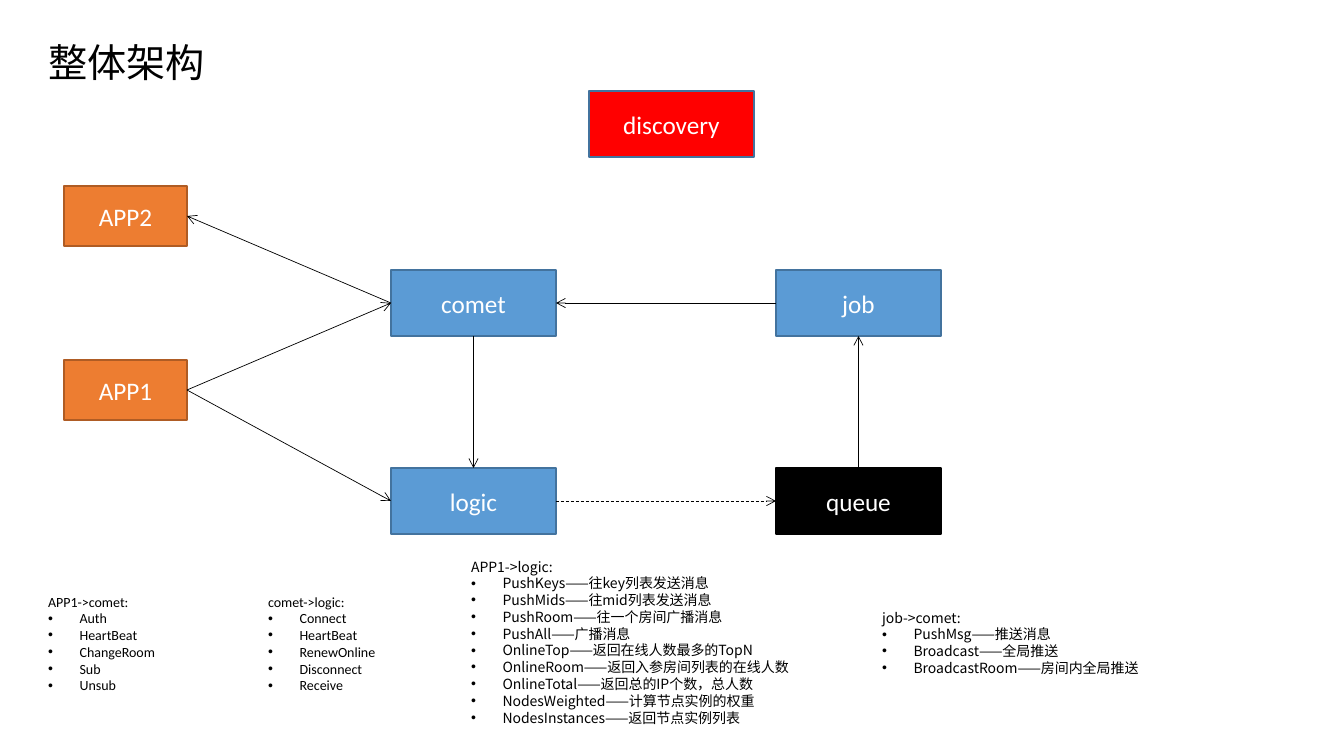
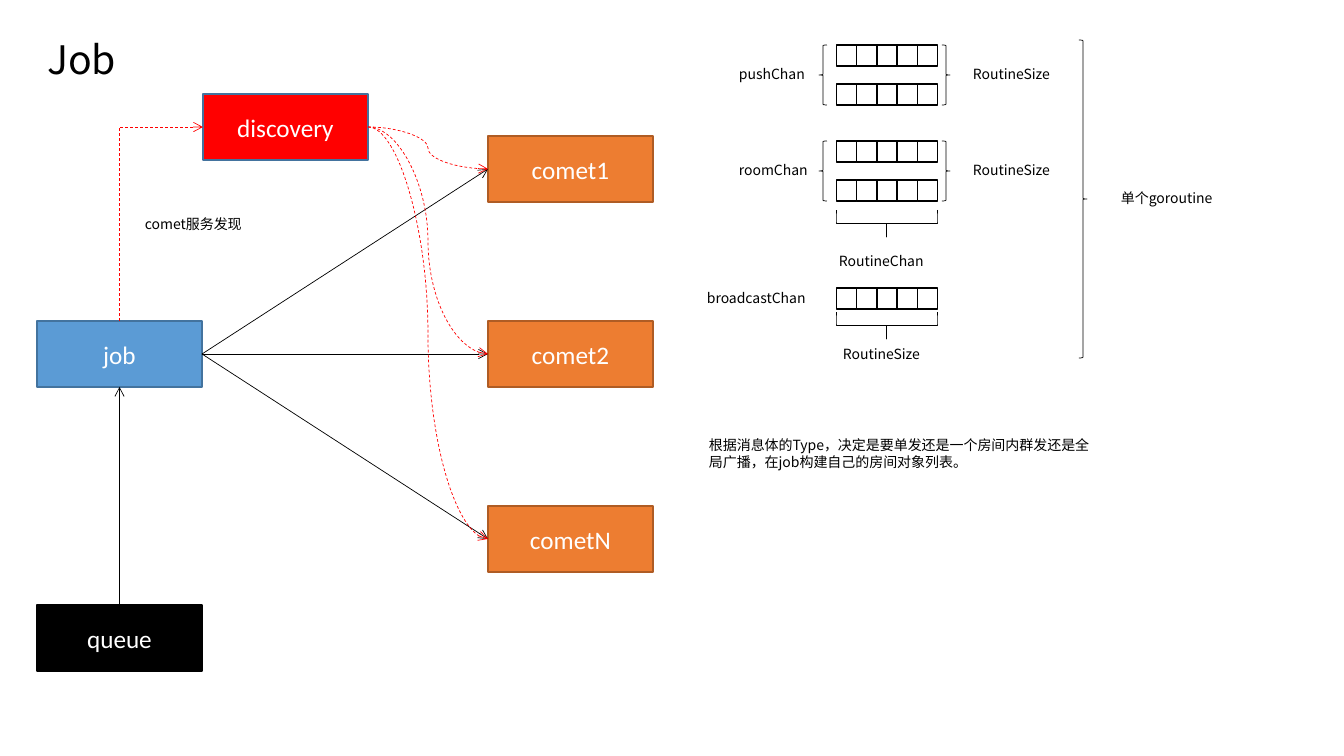
from dataclasses import dataclass

from lxml.etree import SubElement
from pptx import Presentation
from pptx.dml.color import RGBColor
from pptx.enum.dml import MSO_LINE
from pptx.enum.shapes import MSO_CONNECTOR, MSO_SHAPE
from pptx.enum.text import MSO_ANCHOR, MSO_AUTO_SIZE, PP_ALIGN
from pptx.oxml.ns import qn
from pptx.util import Pt

EMU_PER_PIXEL = 914400 / 100.8
TOP, LEFT, BOTTOM, RIGHT = range(4)  # connection sites of a rectangle
TITLE_ONLY, FOUR_BODIES = 5, 4  # layouts of the default template


def px(length):
    """Turn pixels into EMU."""
    return round(length * EMU_PER_PIXEL)


def rgb(code):
    """Turn a hex code into a colour."""
    return RGBColor.from_string(code)


@dataclass(frozen=True)
class Theme:
    """Colours, fonts and type sizes of the deck."""
    black: str = "000000"
    white: str = "FFFFFF"
    red: str = "FF0000"
    blue: tuple = ("5B9BD5", "43739E")
    orange: tuple = ("ED7D31", "AF5C24")
    alert: tuple = ("FF0000", "43739E")
    dark: tuple = ("000000", "000000")
    latin: str = "Calibri"
    cjk: str = "Noto Sans CJK JP"
    title_size: int = 28
    node_size: int = 18
    note_size: int = 10
    title_leading: int = 36
    note_leading: int = 12
    thin: float = 0.5
    outline: float = 1


class Board:
    """Hold the deck, its theme and the current page."""

    def __init__(self, theme):
        """Start an empty wide deck."""
        self.theme = theme
        self.deck = Presentation()
        self.deck.slide_width, self.deck.slide_height = px(1344), px(756)
        self.page = None

    def start(self, layout, title, left, top):
        """Add a page and set its title."""
        self.page = self.deck.slides.add_slide(self.deck.slide_layouts[layout])
        box = self.page.shapes.title
        self.place(box, left, top, 375, 57)
        para = box.text_frame.paragraphs[0]
        para.text = title
        self.style(para, self.theme.title_size, self.theme.cjk,
                   leading=self.theme.title_leading)

    def place(self, box, left, top, width, height):
        """Move a text holder and anchor its text at the top."""
        box.left, box.top, box.width, box.height = map(px, (left, top, width, height))
        frame = box.text_frame
        frame.word_wrap = True
        frame.auto_size = MSO_AUTO_SIZE.NONE
        frame.vertical_anchor = MSO_ANCHOR.TOP

    def style(self, para, size, face, color=None, align=PP_ALIGN.LEFT, leading=None):
        """Set type, colour and spacing of one paragraph."""
        para.alignment = align
        para.space_before = Pt(0)
        if leading:
            para.line_spacing = Pt(leading)
        font = para.font
        font.size, font.name, font.bold = Pt(size), face, False
        font.color.rgb = rgb(color or self.theme.black)
        defaults = para._p.pPr.find(qn("a:defRPr"))
        SubElement(defaults, qn("a:ea")).set("typeface", face)

    def bullet(self, para, shown):
        """Show or hide the bullet of a styled paragraph."""
        properties = para._p.pPr
        indent = px(31.5) if shown else 0
        properties.set("marL", str(indent))
        properties.set("indent", str(-indent))
        mark = SubElement(properties, qn("a:buChar" if shown else "a:buNone"))
        if shown:
            mark.set("char", "•")
        properties.find(qn("a:defRPr")).addprevious(mark)

    def listing(self, index, left, top, width, height, face, heading, items):
        """Fill a body placeholder with a heading and bulleted items."""
        box = self.page.placeholders[index]
        self.place(box, left, top, width, height)
        frame = box.text_frame
        for number, text in enumerate([heading, *items]):
            para = frame.add_paragraph() if number else frame.paragraphs[0]
            para.text = text
            self.style(para, self.theme.note_size, face, leading=self.theme.note_leading)
            self.bullet(para, number > 0)

    def note(self, text, left, top, width, height=27):
        """Add a small free text."""
        box = self.page.shapes.add_textbox(0, 0, 0, 0)
        self.place(box, left, top, width, height)
        para = box.text_frame.paragraphs[0]
        para.text = text
        self.style(para, self.theme.note_size, self.theme.cjk,
                   leading=self.theme.note_leading)

    def shape(self, kind, left, top, width, height, line, weight, fill=None):
        """Add a preset shape without shadow."""
        shape = self.page.shapes.add_shape(kind, *map(px, (left, top, width, height)))
        shape.shadow.inherit = False
        if fill:
            shape.fill.solid()
            shape.fill.fore_color.rgb = rgb(fill)
        else:
            shape.fill.background()
        shape.line.color.rgb = rgb(line)
        shape.line.width = Pt(weight)
        return shape

    def node(self, text, left, top, colors, width=165, height=66):
        """Add a labelled service box."""
        fill, line = colors
        box = self.shape(MSO_SHAPE.RECTANGLE, left, top, width, height,
                         line, self.theme.outline, fill)
        box.text_frame.vertical_anchor = MSO_ANCHOR.MIDDLE
        para = box.text_frame.paragraphs[0]
        para.text = text
        self.style(para, self.theme.node_size, self.theme.latin,
                   self.theme.white, PP_ALIGN.CENTER)
        return box

    def arrow(self, source, start, target, end, kind=MSO_CONNECTOR.STRAIGHT,
              color=None, dashed=False):
        """Glue an arrow between sites of two boxes."""
        link = self.page.shapes.add_connector(kind, 0, 0, 0, 0)
        link.begin_connect(source, start)
        link.end_connect(target, end)
        link.line.color.rgb = rgb(color or self.theme.black)
        link.line.width = Pt(self.theme.thin)
        if dashed:
            link.line.dash_style = MSO_LINE.DASH
        properties = link._element.spPr
        SubElement(properties.find(qn("a:ln")), qn("a:tailEnd")).set("type", "arrow")
        SubElement(properties, qn("a:effectLst"))
        return link

    def corner_arrow(self, source, target, color):
        """Lead a dashed arrow up from source, then right into target."""
        link = self.arrow(source, TOP, target, LEFT, MSO_CONNECTOR.ELBOW, color, True)
        across, rise = link.width, link.height
        shift = (rise - across) // 2
        link.left, link.top = link.left - shift, link.top + shift
        link.width, link.height = rise, across
        properties = link._element.spPr
        frame = properties.find(qn("a:xfrm"))
        frame.attrib.pop("flipV", None)
        frame.set("rot", str(270 * 60000))
        properties.find(qn("a:prstGeom")).set("prst", "bentConnector2")

    def brace(self, kind, left, top, width, height):
        """Add a thin brace."""
        return self.shape(kind, left, top, width, height,
                          self.theme.black, self.theme.thin)

    def under_brace(self, left, top):
        """Add a square brace that opens upwards."""
        brace = self.brace(MSO_SHAPE.RIGHT_BRACE, left, top, 27, 101)
        brace.rotation = 90
        brace.adjustments[0], brace.adjustments[1] = 0, 0.5

    def queue(self, top):
        """Draw one channel as a row of five cells."""
        for column in range(5):
            self.shape(MSO_SHAPE.RECTANGLE, 836.5 + column * 20.2, top, 20.2, 21,
                       self.theme.black, self.theme.outline, self.theme.white)

    def channel_group(self, name, top):
        """Draw two braced queues with their labels."""
        for row in range(2):
            self.queue(top + row * 39)
        self.note(name, 729, top + 16, 91)
        self.brace(MSO_SHAPE.LEFT_BRACE, 819, top, 8, 60)
        self.note("RoutineSize", 963, top + 16, 108)
        self.brace(MSO_SHAPE.RIGHT_BRACE, 942, top, 8, 60)


def architecture(board):
    """Build the overview page."""
    theme = board.theme
    board.start(FOUR_BODIES, "整体架构", 38, 30)
    app2, app1 = (board.node(name, 64, top, theme.orange, 123, 60)
                  for name, top in (("APP2", 186), ("APP1", 360)))
    comet = board.node("comet", 391, 270, theme.blue)
    logic = board.node("logic", 391, 468, theme.blue)
    broker = board.node("queue", 776, 468, theme.dark)
    job = board.node("job", 776, 270, theme.blue)
    board.node("discovery", 589, 91, theme.alert)
    for source, start, target, end in (
            (app1, RIGHT, comet, LEFT), (comet, LEFT, app2, RIGHT),
            (app1, RIGHT, logic, LEFT), (comet, BOTTOM, logic, TOP),
            (broker, TOP, job, BOTTOM), (job, LEFT, comet, RIGHT)):
        board.arrow(source, start, target, end)
    # The picture of APP2 and comet talks both ways through one pushed link.
    board.arrow(logic, RIGHT, broker, LEFT, dashed=True)

    board.listing(1, 38, 588, 220, 112, theme.latin, "APP1->comet:",
                  ["Auth", "HeartBeat", "ChangeRoom", "Sub", "Unsub"])
    board.listing(2, 258, 588, 220, 112, theme.latin, "comet->logic:",
                  ["Connect", "HeartBeat", "RenewOnline", "Disconnect", "Receive"])
    board.listing(3, 461, 553, 344, 179, theme.cjk, "APP1->logic:", [
        "PushKeys——往key列表发送消息",
        "PushMids——往mid列表发送消息",
        "PushRoom——往一个房间广播消息",
        "PushAll——广播消息",
        "OnlineTop——返回在线人数最多的TopN",
        "OnlineRoom——返回入参房间列表的在线人数",
        "OnlineTotal——返回总的IP个数，总人数",
        "NodesWeighted——计算节点实例的权重",
        "NodesInstances——返回节点实例列表"])
    board.listing(4, 872, 604, 311, 78, theme.cjk, "job->comet:", [
        "PushMsg——推送消息", "Broadcast——全局推送",
        "BroadcastRoom——房间内全局推送"])


def job_details(board):
    """Build the page about the job service."""
    theme = board.theme
    board.start(TITLE_ONLY, "Job", 37, 27)
    job = board.node("job", 37, 321, theme.blue)
    comets = [board.node(name, 488, 136 + row * 185, theme.orange)
              for row, name in enumerate(("comet1", "comet2", "cometN"))]
    discovery = board.node("discovery", 203, 94, theme.alert)
    broker = board.node("queue", 37, 605, theme.dark)
    board.arrow(broker, TOP, job, BOTTOM)
    board.corner_arrow(job, discovery, theme.red)
    for comet in comets:
        board.arrow(job, RIGHT, comet, LEFT)
        board.arrow(discovery, RIGHT, comet, LEFT, MSO_CONNECTOR.CURVE, theme.red, True)
    board.note("comet服务发现", 135, 211, 118)

    board.channel_group("pushChan", 45)
    board.channel_group("roomChan", 141)
    board.under_brace(873, 173)
    board.note("RoutineChan", 829, 248, 108)
    board.queue(288)
    board.note("broadcastChan", 697, 285, 123)
    board.under_brace(873, 275)
    board.note("RoutineSize", 833, 341, 108)
    board.brace(MSO_SHAPE.RIGHT_BRACE, 1079, 40, 8, 318)
    board.note("单个goroutine", 1111, 185, 138)
    board.note("根据消息体的Type，决定是要单发还是一个房间内群发还是全局广播，"
               "在job构建自己的房间对象列表。", 699, 432, 401, 44)


board = Board(Theme())
architecture(board)
job_details(board)
board.deck.save("out.pptx")
